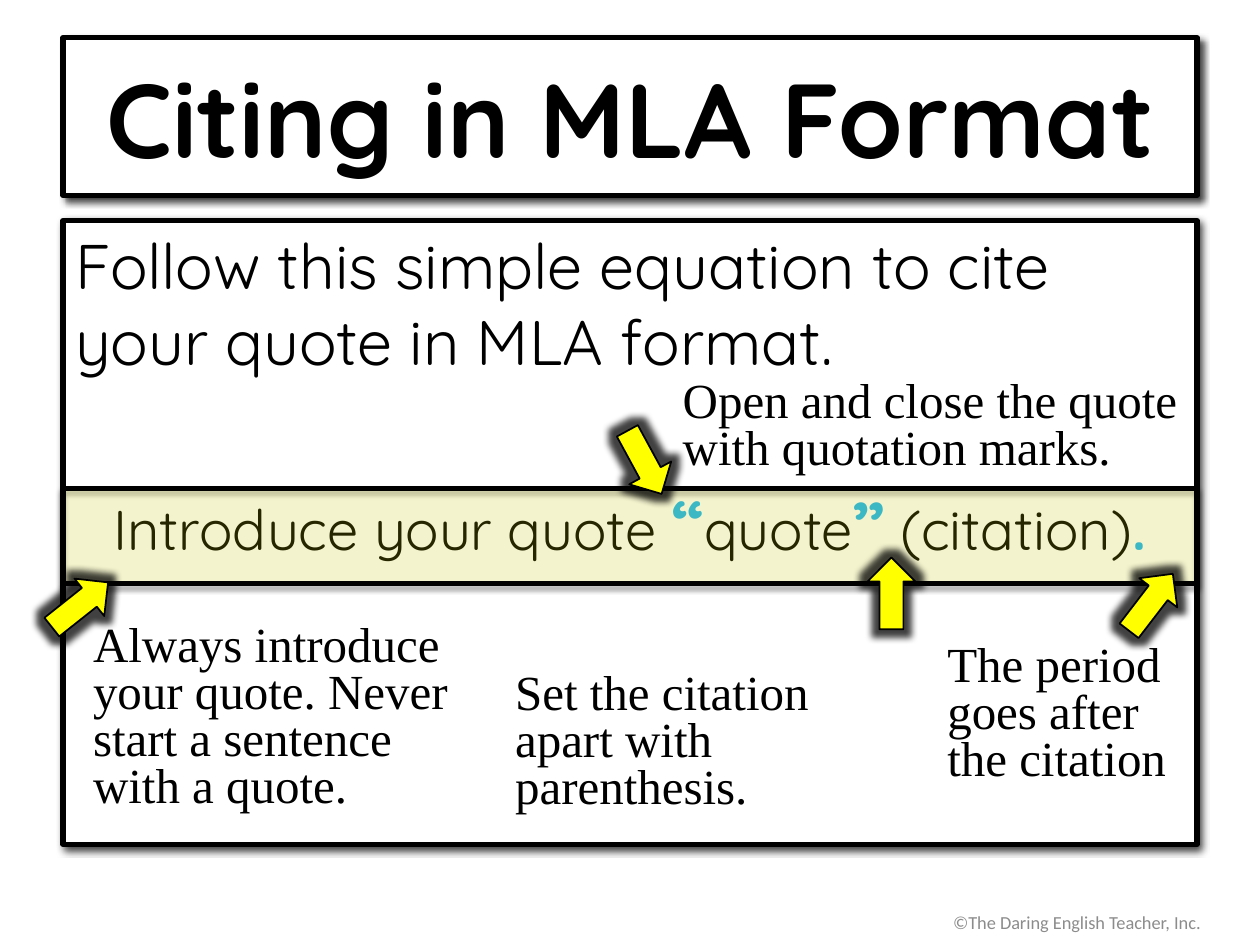
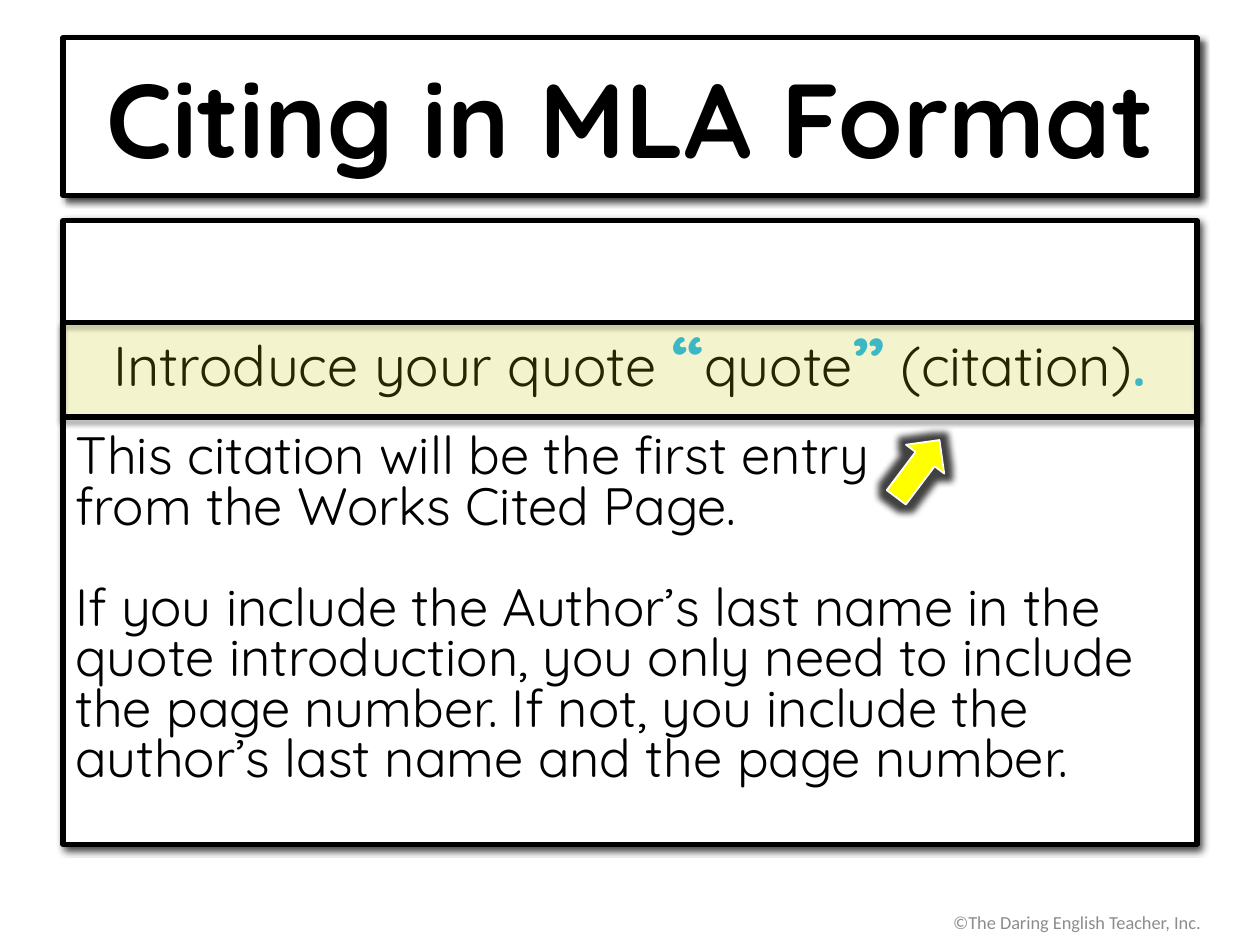
from lxml import etree
from pptx import Presentation
from pptx.dml.color import RGBColor
from pptx.enum.shapes import MSO_SHAPE
from pptx.enum.text import MSO_ANCHOR, MSO_AUTO_SIZE, PP_ALIGN
from pptx.oxml.ns import qn
from pptx.util import Inches, Pt

RECTANGLE, ARROW = MSO_SHAPE.RECTANGLE, MSO_SHAPE.RIGHT_ARROW
LEFT, CENTER, RIGHT = PP_ALIGN.LEFT, PP_ALIGN.CENTER, PP_ALIGN.RIGHT
TOP, MIDDLE = MSO_ANCHOR.TOP, MSO_ANCHOR.MIDDLE
NO_AUTOFIT = MSO_AUTO_SIZE.NONE

BLACK, WHITE, YELLOW, BLUE, GREY = "000000", "FFFFFF", "FFFF00", "1CB6F4", "8C8C8C"
HEADING_FONT, NOTE_FONT, FOOTER_FONT = "Quicksand", "Times New Roman", "Calibri"

presentation = Presentation()
presentation.slide_width, presentation.slide_height = Inches(10), Inches(7.5)
COLUMN = presentation.slide_width / 20
ROW = presentation.slide_height / 15

# Effects: kind, opacity in percent, and lengths in points
PANEL_SHADOW = ("outerShdw", 72, {"blurRad": Pt(4), "dist": Pt(3), "dir": 49 * 60000})
BAND_SHADOW = ("outerShdw", 35, {"blurRad": Pt(3.1), "dist": Pt(1.8), "dir": 90 * 60000})
ARROW_GLOW = ("glow", 75, {"rad": Pt(8)})

# Shared places, as left, top, width and height in columns and rows
TITLE_BOX = (1, 0.6, 18, 2.5)
PANEL_BOX = (1, 3.5, 18, 9.9)
FOOTER_BOX = (14.6, 14.24, 4.66, 0.8)
ARROW_SIZE = (1.14, 0.76)
BAND_HEIGHT = 1.5

EQUATION = [
    ("Introduce your quote ", 32, BLACK, False),
    ("“", 40, BLUE, True),
    ("quote", 32, BLACK, False),
    ("”", 40, BLUE, True),
    (" (citation)", 32, BLACK, False),
    (".", 32, BLUE, True),
]


def style(shape, box, fill, line, width, effect, opacity=100):
    """Place a shape on the grid and give it fill, outline and effect."""
    left, top, across, down = box
    shape.left, shape.top = round(left * COLUMN), round(top * ROW)
    shape.width, shape.height = round(across * COLUMN), round(down * ROW)
    shape.fill.solid()
    shape.fill.fore_color.rgb = RGBColor.from_string(fill)
    shape.line.color.rgb = RGBColor.from_string(line)
    shape.line.width = Pt(width)
    if opacity < 100:
        fill_colour = shape.element.spPr.find(qn("a:solidFill"))[0]
        etree.SubElement(fill_colour, qn("a:alpha"), val=str(opacity * 1000))
    shape.shadow.inherit = False
    kind, strength, lengths = effect
    effects = shape.element.spPr.find(qn("a:effectLst"))
    node = etree.SubElement(effects, qn("a:" + kind))
    for name, value in lengths.items():
        node.set(name, str(int(value)))
    colour = etree.SubElement(node, qn("a:srgbClr"), val=BLACK)
    etree.SubElement(colour, qn("a:alpha"), val=str(strength * 1000))


def write(shape, paragraphs, font, alignment=LEFT, anchor=TOP, spacing=None):
    """Write paragraphs of (text, size, colour, bold) runs and return the frame."""
    frame = shape.text_frame
    frame.word_wrap = True
    frame.auto_size = NO_AUTOFIT
    frame.vertical_anchor = anchor
    for index, runs in enumerate(paragraphs):
        paragraph = frame.add_paragraph() if index else frame.paragraphs[0]
        paragraph.alignment = alignment
        paragraph.line_spacing = spacing
        for text, size, colour, bold in runs:
            run = paragraph.add_run()
            run.text = text
            run.font.name, run.font.size, run.font.bold = font, Pt(size), bold
            run.font.color.rgb = RGBColor.from_string(colour)
    return frame


# Each slide: panel text, top of the band, top of the equation,
# arrow outline, arrows (left, top, turn), notes (box, size, font, paragraphs)
slides = [
    (
        "Follow this simple equation to cite your quote in MLA format.",
        7.76, 7.62, BLACK,
        [(0.7, 9.22, 321.5), (9.66, 6.96, 61.5), (13.58, 9.04, 270), (17.7, 9.18, 307.5)],
        [
            ((1.28, 9.82, 6.06, 3.24), 28, NOTE_FONT,
             ["Always introduce your quote. Never start a sentence with a quote."]),
            ((10.64, 5.94, 9.36, 1.74), 28, NOTE_FONT,
             ["Open and close the quote with quotation marks."]),
            ((7.98, 10.58, 6.16, 2.5), 28, NOTE_FONT,
             ["Set the citation apart with parenthesis."]),
            ((14.84, 10.14, 4.16, 2.5), 28, NOTE_FONT,
             ["The period goes after the citation"]),
        ],
    ),
    (
        None,
        5.12, 5.03, WHITE,
        [(14, 7.06, 307)],
        [
            ((1, 6.8, 18, 6.7), 30, HEADING_FONT, [
                "This citation will be the first entry",
                "from the Works Cited Page.",
                "If you include the Author’s last name in the quote introduction, "
                "you only need to include the page number. If not, you include "
                "the author’s last name and the page number.",
            ]),
        ],
    ),
]

for panel_text, band_top, equation_top, arrow_line, arrows, notes in slides:
    slide = presentation.slides.add_slide(presentation.slide_layouts[5])
    shapes = slide.shapes

    # Title
    title = shapes.title
    style(title, TITLE_BOX, WHITE, BLACK, 3, PANEL_SHADOW)
    write(title, [[("Citing in MLA Format", 60, BLACK, True)]], HEADING_FONT, CENTER, MIDDLE)

    # Panel
    panel = shapes.add_shape(RECTANGLE, 0, 0, 0, 0)
    style(panel, PANEL_BOX, WHITE, BLACK, 3, PANEL_SHADOW)
    if panel_text:
        write(panel, [[(panel_text, 36, BLACK, False)]], HEADING_FONT)

    # Equation under its translucent band
    left, _, across, _ = PANEL_BOX
    equation = shapes.add_textbox(round(left * COLUMN), round(equation_top * ROW),
                                  round(across * COLUMN), round(BAND_HEIGHT * ROW))
    write(equation, [EQUATION], HEADING_FONT, CENTER).margin_top = 0
    band = shapes.add_shape(RECTANGLE, 0, 0, 0, 0)
    style(band, (left, band_top, across, BAND_HEIGHT), YELLOW, BLACK, 3, BAND_SHADOW, 15)

    # Arrows
    for arrow_left, arrow_top, turn in arrows:
        arrow = shapes.add_shape(ARROW, 0, 0, 0, 0)
        style(arrow, (arrow_left, arrow_top, *ARROW_SIZE), YELLOW, arrow_line, 1, ARROW_GLOW)
        arrow.rotation = turn

    # Notes and footer
    for (left, top, across, down), size, font, texts in notes:
        note = shapes.add_textbox(round(left * COLUMN), round(top * ROW),
                                  round(across * COLUMN), round(down * ROW))
        frame = write(note, [[(text, size, BLACK, False)] for text in texts], font, spacing=0.8)
        if len(texts) > 1:
            frame.paragraphs[-1].space_before = Pt(29)
    left, top, across, down = FOOTER_BOX
    footer = shapes.add_textbox(round(left * COLUMN), round(top * ROW),
                                round(across * COLUMN), round(down * ROW))
    write(footer, [[("©The Daring English Teacher, Inc.", 10.5, GREY, False)]],
          FOOTER_FONT, RIGHT, MIDDLE)

presentation.save("out.pptx")
